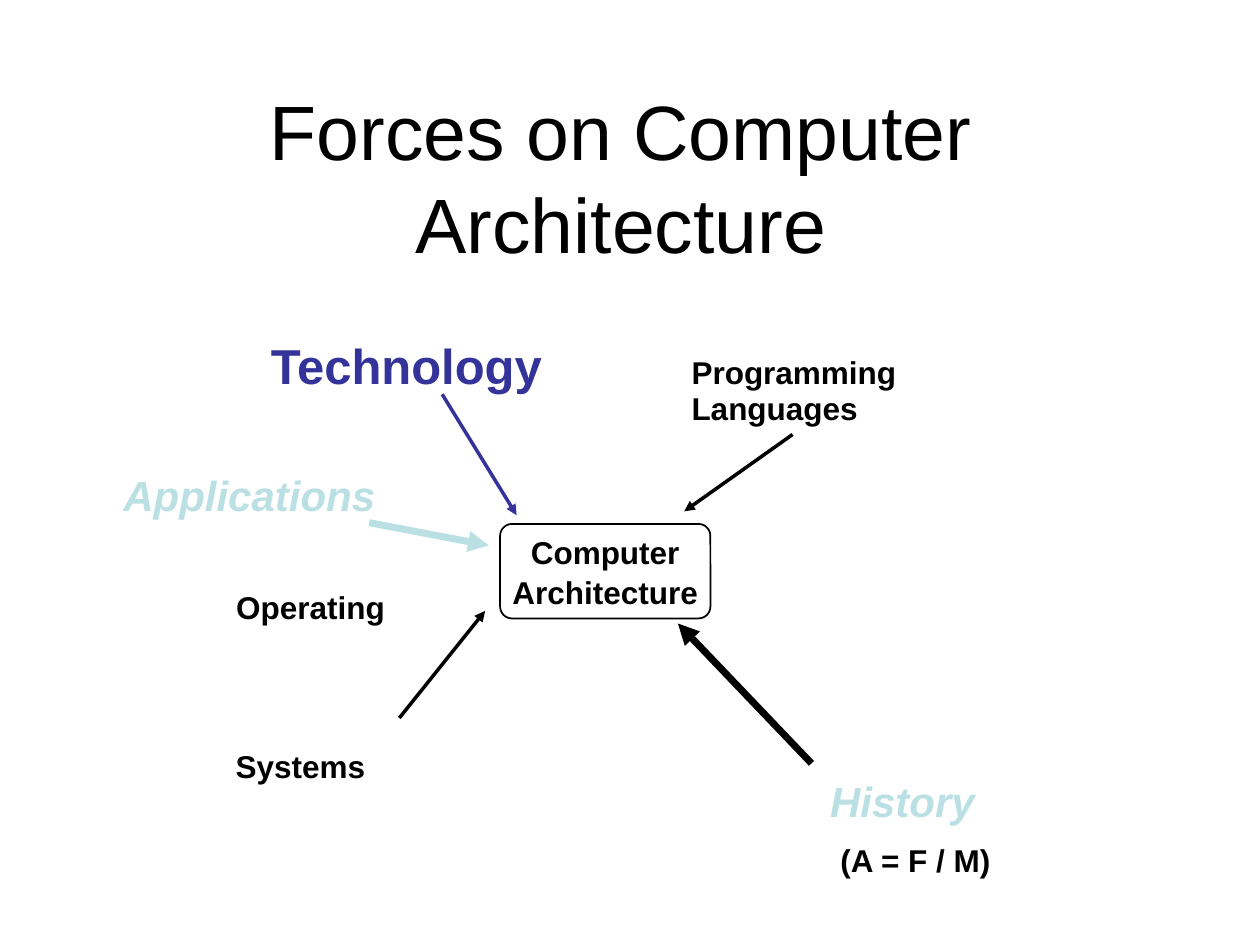
from lxml.etree import SubElement
from pptx import Presentation
from pptx.dml.color import RGBColor
from pptx.enum.shapes import MSO_CONNECTOR, MSO_SHAPE
from pptx.enum.text import MSO_ANCHOR, MSO_AUTO_SIZE, PP_ALIGN
from pptx.oxml.ns import qn
from pptx.util import Pt

BLACK, INDIGO, PALE = "000000", "333399", "BBE0E3"

PLAIN = {"size": Pt(18), "bold": True, "color": BLACK}
TECHNOLOGY = {"size": Pt(28), "bold": True, "color": INDIGO}
ACCENT = {"size": Pt(24), "bold": True, "italic": True, "color": PALE}

# text, left, top, width, height (relative to the diagram), format, line spacing
LABELS = [
    ("Technology", 84.3, 0, 167, 38.2, TECHNOLOGY, 1.02),
    ("Programming", 324.7, 10.1, 129, 25.9, PLAIN, 1.02),
    ("Languages", 324.7, 31, 106, 25.9, PLAIN, 1.02),
    ("Operating", 64.5, 144.6, 96, 25.9, PLAIN, 1.02),
    ("Systems", 64.1, 235.2, 85, 25.9, PLAIN, 1.02),
    ("History", 403.9, 254, 94, 31.7, ACCENT, 0.97),
    ("Applications", 0, 76.8, 155, 33.1, ACCENT, 1.02),
    ("(A = F / M)", 409.7, 289.2, 98, 25.9, PLAIN, 1.02),
]
# start x, start y, end x, end y (relative to the diagram), colour, width
ARROWS = [
    (145.5, 110.2, 213.9, 123.2, PALE, 4),
    (162.7, 221.8, 211.7, 160.6, BLACK, 2),
    (187.2, 36.8, 229.7, 105.9, INDIGO, 2),
    (387.4, 59.8, 325.5, 103.7, BLACK, 2),
    (398.2, 247.7, 321.9, 167.8, BLACK, 4),
]


def rgb(color):
    return RGBColor.from_string(color)


def write_text(shape, lines, text_format, alignment=PP_ALIGN.LEFT,
               spacing=1.0, wrap=False, anchor=MSO_ANCHOR.TOP):
    frame = shape.text_frame
    frame_format = {"word_wrap": wrap, "vertical_anchor": anchor,
                    "auto_size": MSO_AUTO_SIZE.SHAPE_TO_FIT_TEXT,
                    "margin_left": Pt(5), "margin_right": Pt(5),
                    "margin_top": Pt(2.5), "margin_bottom": Pt(2.5)}
    for name, value in frame_format.items():
        setattr(frame, name, value)
    frame.text = "\n".join(lines)
    for paragraph in frame.paragraphs:
        paragraph.alignment = alignment
        paragraph.line_spacing = spacing
        font = paragraph.runs[0].font
        font.name = "Arial"
        for name, value in text_format.items():
            if name == "color":
                font.color.rgb = rgb(value)
            else:
                setattr(font, name, value)


def add_title(slide, left, top, width, height):
    title = slide.shapes.add_textbox(Pt(left), Pt(top), Pt(width), Pt(height))
    write_text(title, ["Forces on Computer Architecture"],
               {"size": Pt(44), "color": BLACK}, PP_ALIGN.CENTER, wrap=True)


def add_core(slide, left, top, width, height):
    core = slide.shapes.add_shape(MSO_SHAPE.ROUNDED_RECTANGLE,
                                  Pt(left), Pt(top), Pt(width), Pt(height))
    core.adjustments[0] = 0.125
    core.shadow.inherit = False
    core.fill.background()
    core.line.color.rgb = rgb(BLACK)
    core.line.width = Pt(1)
    write_text(core, ["Computer", "Architecture"], PLAIN, PP_ALIGN.CENTER,
               1.06, anchor=MSO_ANCHOR.MIDDLE)


def add_arrow(slide, start_x, start_y, end_x, end_y, color, width):
    arrow = slide.shapes.add_connector(MSO_CONNECTOR.STRAIGHT, Pt(start_x),
                                       Pt(start_y), Pt(end_x), Pt(end_y))
    arrow.line.color.rgb = rgb(color)
    arrow.line.width = Pt(width)
    SubElement(arrow.line._get_or_add_ln(), qn("a:tailEnd"), type="triangle")
    SubElement(arrow._element.spPr, qn("a:effectLst"))


def add_forces_diagram(slide, left, top):
    """Place the core box, the forces around it and their arrows."""
    add_core(slide, left + 220.3, top + 110.9, 120.2, 54)
    for text, x, y, width, height, text_format, spacing in LABELS:
        label = slide.shapes.add_textbox(Pt(left + x), Pt(top + y),
                                         Pt(width), Pt(height))
        write_text(label, [text], text_format, spacing=spacing)
    for start_x, start_y, end_x, end_y, color, width in ARROWS:
        add_arrow(slide, left + start_x, top + start_y,
                  left + end_x, top + end_y, color, width)


def main():
    presentation = Presentation()
    presentation.slide_width, presentation.slide_height = Pt(720), Pt(540)
    slide = presentation.slides.add_slide(presentation.slide_layouts[6])
    add_title(slide, 37.4, 45.4, 635, 109.4)
    add_forces_diagram(slide, 65.5, 188.5)
    presentation.save("out.pptx")


if __name__ == "__main__":
    main()
